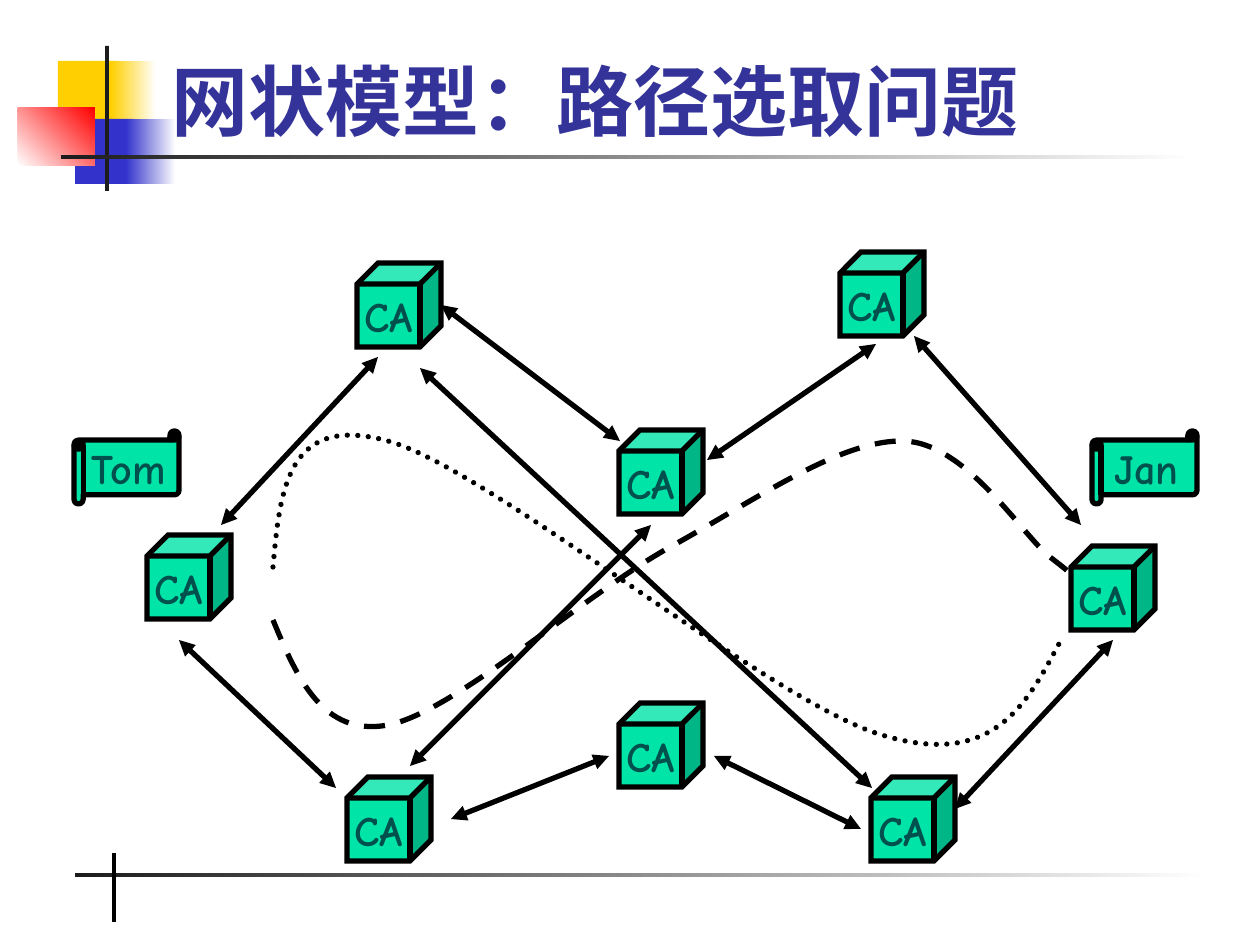
from pptx import Presentation
from pptx.dml.color import RGBColor
from pptx.enum.dml import MSO_LINE
from pptx.enum.shapes import MSO_CONNECTOR, MSO_SHAPE
from pptx.enum.text import MSO_ANCHOR, PP_ALIGN
from pptx.oxml.ns import qn
from pptx.util import Pt
from lxml import etree

EMU_PER_PX = 914400 / 126
RECTANGLE, CUBE, SCROLL = MSO_SHAPE.RECTANGLE, MSO_SHAPE.CUBE, MSO_SHAPE.HORIZONTAL_SCROLL
STRAIGHT = MSO_CONNECTOR.STRAIGHT
DASHED, DOTTED = MSO_LINE.DASH, MSO_LINE.ROUND_DOT
MIDDLE, BOTTOM, CENTER = MSO_ANCHOR.MIDDLE, MSO_ANCHOR.BOTTOM, PP_ALIGN.CENTER

WHITE = RGBColor(0xFF, 0xFF, 0xFF)
BLACK = RGBColor(0x00, 0x00, 0x00)
CHARCOAL = RGBColor(0x1C, 0x1C, 0x1C)
YELLOW = RGBColor(0xFF, 0xCF, 0x01)
BLUE = RGBColor(0x33, 0x33, 0xCC)
RED = RGBColor(0xFF, 0x00, 0x00)
GREEN = RGBColor(0x00, 0xE4, 0xA8)
LABEL_COLOR = RGBColor(0x00, 0x50, 0x4E)
TITLE_COLOR = RGBColor(0x33, 0x33, 0x99)

TITLE = "网状模型：路径选取问题"
TITLE_BOX = (159, 20, 1074, 132)

# Box, colours (two make a gradient), gradient angle
DECORATION = [
    ((58, 61, 60, 66), [YELLOW], 0),
    ((111, 61, 45, 66), [YELLOW, WHITE], 0),
    ((75, 119, 58, 65), [BLUE], 0),
    ((126, 119, 50, 65), [BLUE, WHITE], 0),
    ((18, 108, 77, 58), [WHITE, RED], 45),
    ((105, 46, 4, 145), [CHARCOAL], 0),
    ((61, 155, 1134, 4), [CHARCOAL, WHITE], 0),
    ((75, 873, 1134, 4), [CHARCOAL, WHITE], 0),
]
FOOTER_TICK = (114, 853, 114, 922)

CUBE_SIZE = (84, 84)
CA_POSITIONS = [(147, 535), (357, 263), (619, 430), (840, 252), (1071, 546),
                (347, 777), (619, 703), (871, 777)]
SCROLL_SIZE = (105, 73)
USERS = [("Tom", (74, 431)), ("Jan", (1092, 431))]

TRUST_LINKS = [
    (221, 525, 378, 357), (441, 305, 620, 441), (707, 460, 876, 344),
    (914, 336, 1081, 525), (451, 819, 609, 756), (179, 640, 336, 788),
    (955, 809, 1113, 640), (714, 756, 861, 829), (420, 368, 872, 788),
    (410, 766, 651, 525),
]

# Dash style, start, then two control points and an end for each Bezier piece
PATHS = [
    (DASHED, (273, 620), [
        ((297, 678), (323, 737), (388, 725)),
        ((455, 712), (586, 593), (672, 546)),
        ((757, 499), (840, 440), (903, 441)),
        ((966, 442), (1023, 536), (1050, 557)),
        ((1076, 577), (1068, 572), (1061, 567)),
    ]),
    (DOTTED, (273, 567), [
        ((280, 490), (287, 413), (388, 441)),
        ((490, 469), (770, 702), (882, 735)),
        ((994, 769), (1027, 704), (1061, 640)),
    ]),
]


def px(*lengths):
    return [round(length * EMU_PER_PX) for length in lengths]


def add_text(shape, text, font, size, color, anchor):
    frame = shape.text_frame
    frame.vertical_anchor = anchor
    span = frame.paragraphs[0].add_run()
    span.text = text
    span.font.name = font
    span.font.size = Pt(size)
    span.font.bold = True
    span.font.color.rgb = color
    return frame


def add_decoration(page, box, colors, angle):
    shape = page.shapes.add_shape(RECTANGLE, *px(*box))
    shape.shadow.inherit = False
    shape.line.fill.background()
    if len(colors) == 1:
        shape.fill.solid()
        shape.fill.fore_color.rgb = colors[0]
    else:
        shape.fill.gradient()
        shape.fill.gradient_angle = angle
        for stop, color, position in zip(shape.fill.gradient_stops, colors, (0, 1)):
            stop.color.rgb = color
            stop.position = position


def set_line(shape, width=3):
    """Set a plain black line and return its XML element."""
    shape.line.color.rgb = BLACK
    shape.line.width = Pt(width)
    return shape.line._get_or_add_ln()


def add_node(page, kind, position, size, text):
    shape = page.shapes.add_shape(kind, *px(*position, *size))
    shape.shadow.inherit = False
    shape.fill.solid()
    shape.fill.fore_color.rgb = GREEN
    outline = set_line(shape)
    if kind == CUBE:
        etree.SubElement(outline, qn("a:miter"), lim="800000")
    frame = add_text(shape, text, "Comic Neue", 24, LABEL_COLOR, MIDDLE)
    frame.word_wrap = False
    frame.margin_left = frame.margin_right = frame.margin_top = frame.margin_bottom = 0
    frame.paragraphs[0].alignment = CENTER


def add_line(page, ends, width=3, arrows=True):
    line = page.shapes.add_connector(STRAIGHT, *px(*ends))
    outline = set_line(line, width)
    if arrows:
        for end in ("a:headEnd", "a:tailEnd"):
            etree.SubElement(outline, qn(end), type="triangle")
    etree.SubElement(line._element.spPr, qn("a:effectLst"))


def bend_segments(curve):
    """Turn each three straight segments into one cubic Bezier piece."""
    segments = list(curve._element.iter(qn("a:lnTo")))
    for first in range(0, len(segments), 3):
        piece = etree.Element(qn("a:cubicBezTo"))
        segments[first].addprevious(piece)
        for segment in segments[first:first + 3]:
            piece.append(segment[0])
            segment.getparent().remove(segment)


def add_path(page, dash, start, pieces):
    points = [px(*point) for piece in pieces for point in piece]
    builder = page.shapes.build_freeform(*px(*start))
    builder.add_line_segments(points, close=False)
    curve = builder.convert_to_shape()
    bend_segments(curve)
    curve.shadow.inherit = False
    curve.fill.background()
    outline = set_line(curve)
    curve.line.dash_style = dash
    if dash == DOTTED:
        outline.set("cap", "rnd")


def main():
    deck = Presentation()
    deck.slide_width, deck.slide_height = px(1260, 945)
    page = deck.slides.add_slide(deck.slide_layouts[6])

    for decoration in DECORATION:
        add_decoration(page, *decoration)
    add_line(page, FOOTER_TICK, width=2.25, arrows=False)

    title = page.shapes.add_textbox(*px(*TITLE_BOX))
    add_text(title, TITLE, "Times New Roman", 44, TITLE_COLOR, BOTTOM).word_wrap = True

    for position in CA_POSITIONS:
        add_node(page, CUBE, position, CUBE_SIZE, "CA")
    for link in TRUST_LINKS:
        add_line(page, link)
    for name, position in USERS:
        add_node(page, SCROLL, position, SCROLL_SIZE, name)
    for path in PATHS:
        add_path(page, *path)

    deck.save("out.pptx")


if __name__ == "__main__":
    main()
